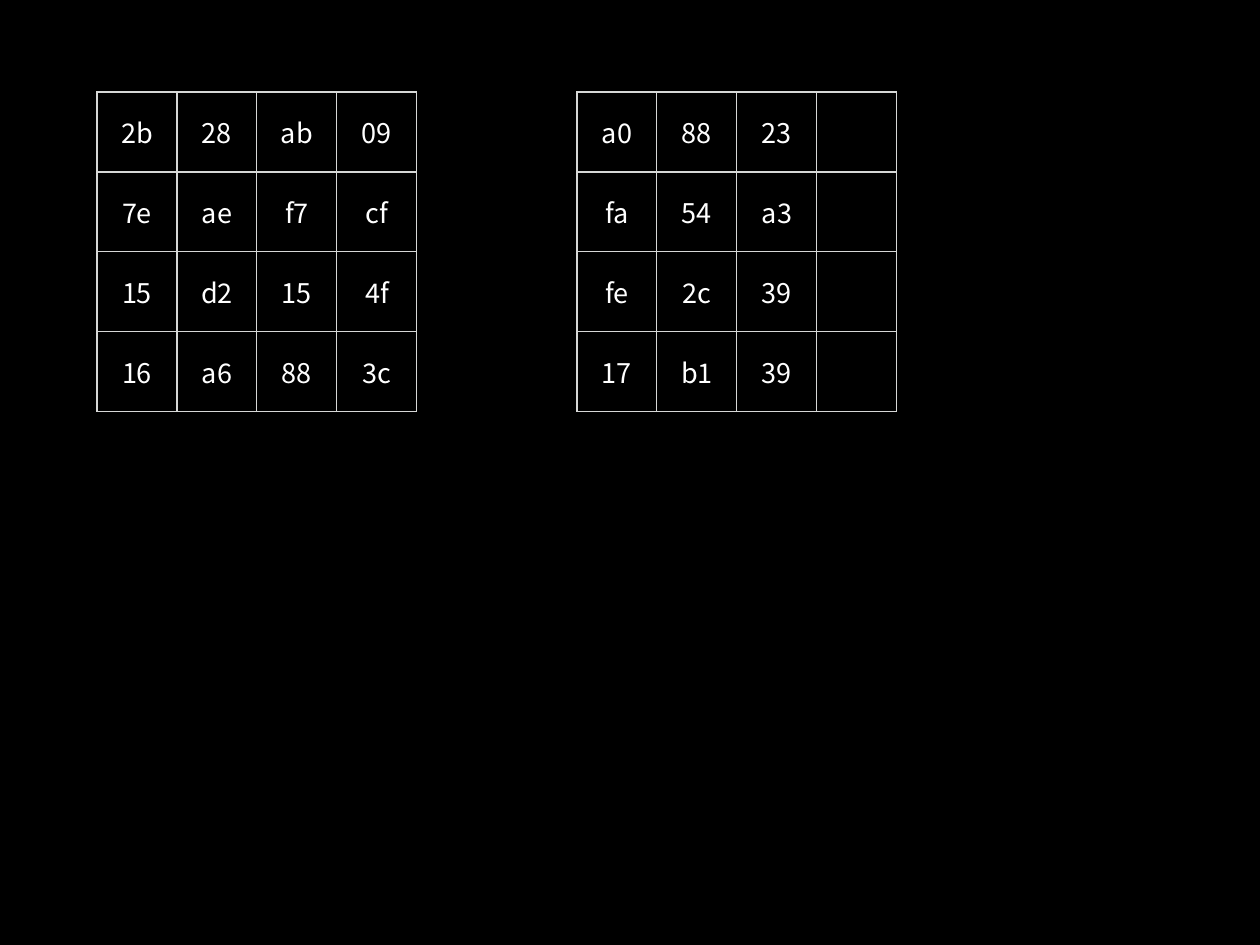
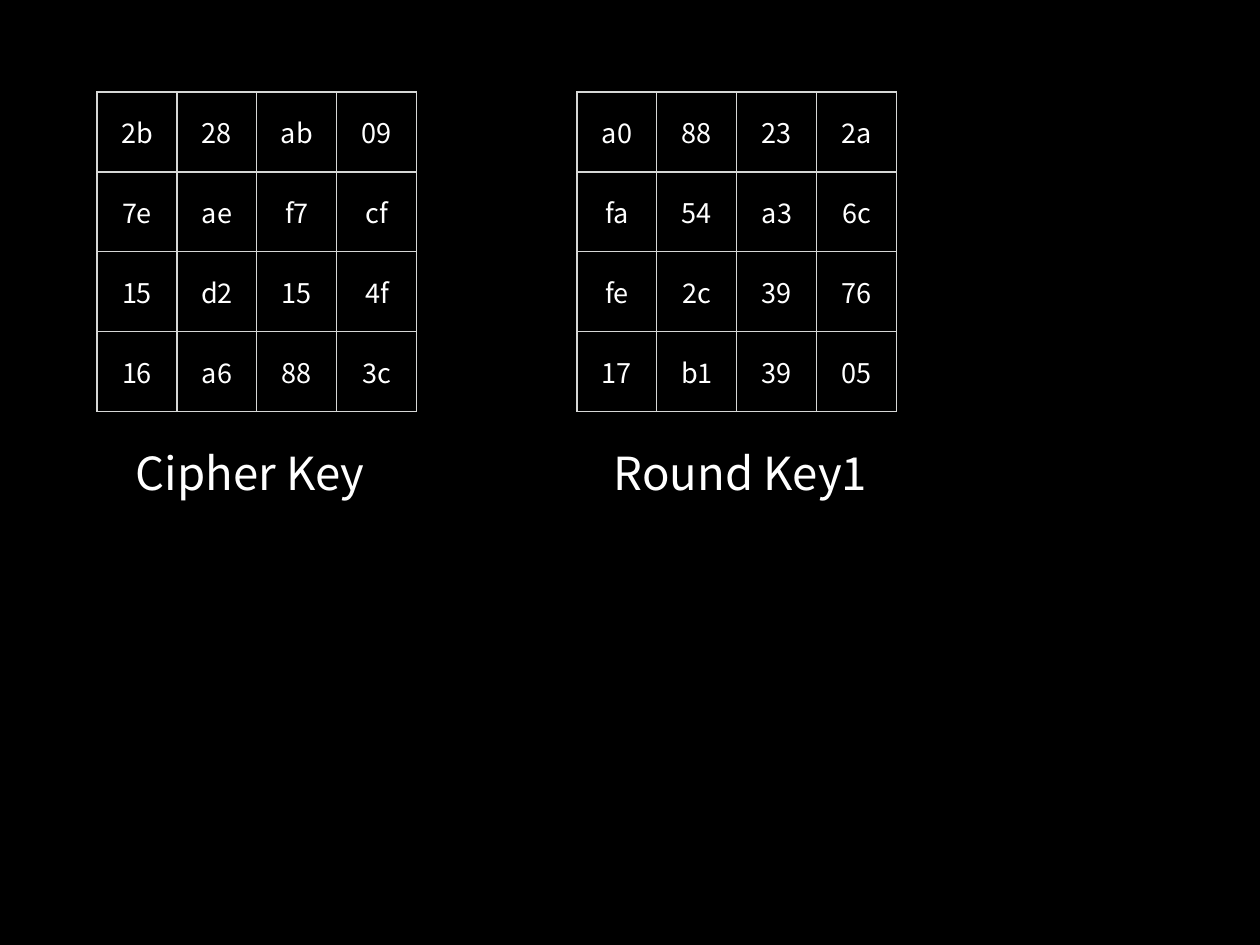
import pptx
import pptx.util
import pptx.dml.color
import pptx.enum.text
import pptx.oxml

NS = "http://schemas.openxmlformats.org/drawingml/2006/main"
SCALE = 10321
WIDTH, HEIGHT = 1260, 945
CELL, INSET = 80, 5
TOP = 92
CIPHER_X, ROUND_X = 97, 577

CIPHER = ["2b 28 ab 09", "7e ae f7 cf", "15 d2 15 4f", "16 a6 88 3c"]
PARTIAL = ["a0 88 23", "fa 54 a3", "fe 2c 39", "17 b1 39"]
LAST = ["2a", "6c", "76", "05"]
ROUND = [f"{row} {last}" for row, last in zip(PARTIAL, LAST)]


def px(n):
    return pptx.util.Emu(n * SCALE)


def color(code):
    return pptx.dml.color.RGBColor.from_string(code)


class Deck:
    font = "Noto Sans CJK KR"
    ground, ink, rule = "000000", "FFFFFF", "D6D7D6"

    def __init__(self):
        self.prs = pptx.Presentation()
        self.prs.slide_width, self.prs.slide_height = px(WIDTH), px(HEIGHT)
        self.slide = None

    def page(self):
        self.slide = self.prs.slides.add_slide(self.prs.slide_layouts[6])
        fill = self.slide.background.fill
        fill.solid()
        fill.fore_color.rgb = color(self.ground)

    def put(self, frame, text, size, align):
        """Set the one styled paragraph of a text frame."""
        para = frame.paragraphs[0]
        para.text = text
        para.alignment = align
        para.font.name = self.font
        para.font.size = pptx.util.Pt(size)
        para.font.color.rgb = color(self.ink)

    def pad(self, box):
        """Set the margins and middle anchor of a cell or text frame."""
        box.margin_left = box.margin_right = px(INSET)
        box.margin_top = box.margin_bottom = px(INSET)
        box.vertical_anchor = pptx.enum.text.MSO_ANCHOR.MIDDLE

    def border(self, cell):
        props = cell._tc.get_or_add_tcPr()
        for side in "LRTB":
            props.append(pptx.oxml.parse_xml(
                f'<a:ln{side} xmlns:a="{NS}" w="{pptx.util.Pt(1)}"><a:solidFill>'
                f'<a:srgbClr val="{self.rule}"/></a:solidFill></a:ln{side}>'))

    def grid(self, x, y, rows):
        """Draw a square key table; short rows leave their last cells empty."""
        count = len(rows)
        side = px(CELL * count)
        table = self.slide.shapes.add_table(
            count, count, px(x), px(y), side, side).table
        table.first_row = table.horz_banding = False
        for line in table.rows:
            line.height = px(CELL)
        for column in table.columns:
            column.width = px(CELL)
        for r, row in enumerate(rows):
            for c in range(count):
                cell = table.cell(r, c)
                self.pad(cell)
                self.border(cell)
                cell.fill.background()
            for c, text in enumerate(row.split()):
                self.put(table.cell(r, c).text_frame, text, 22,
                         pptx.enum.text.PP_ALIGN.CENTER)

    def label(self, x, y, width, text):
        box = self.slide.shapes.add_textbox(px(x), px(y), px(width), px(65))
        frame = box.text_frame
        frame.word_wrap = True
        self.pad(frame)
        self.put(frame, text, 37, pptx.enum.text.PP_ALIGN.LEFT)


def main():
    deck = Deck()
    for key in (PARTIAL, ROUND):
        deck.page()
        deck.grid(CIPHER_X, TOP, CIPHER)
        deck.grid(ROUND_X, TOP, key)
    deck.label(609, 440, 273, "Round Key1")
    deck.label(131, 440, 246, "Cipher Key")
    deck.prs.save("out.pptx")


if __name__ == "__main__":
    main()
